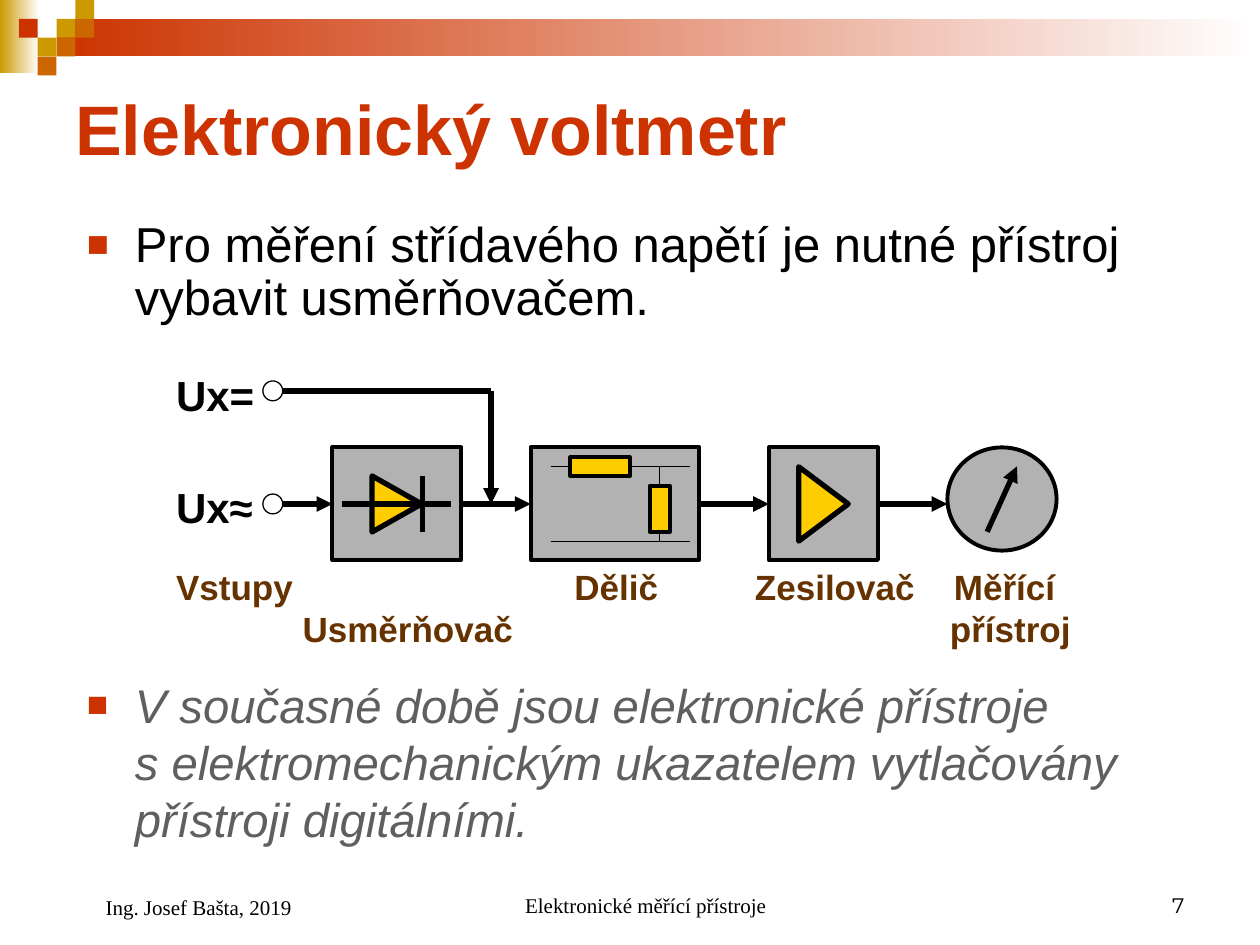
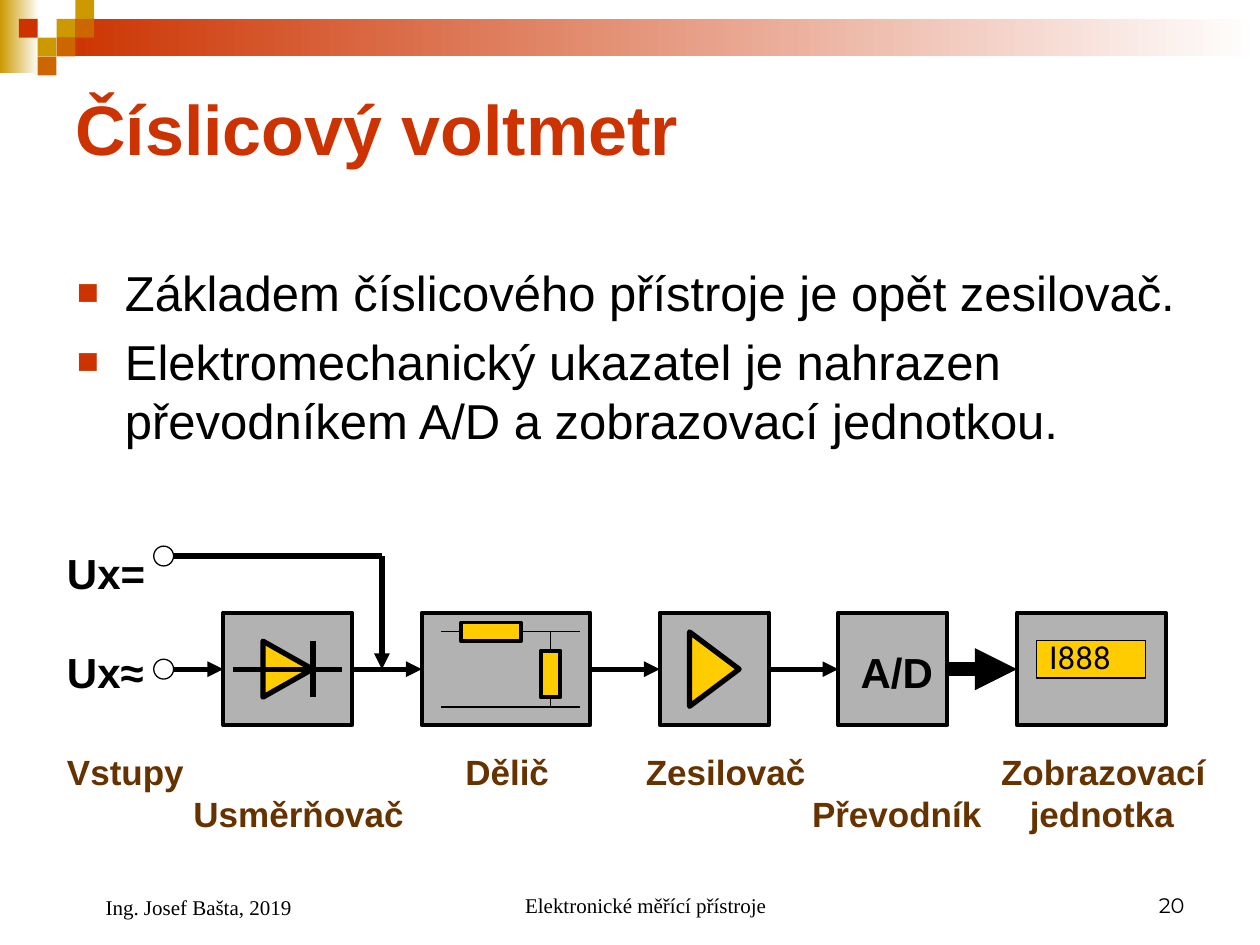
from dataclasses import dataclass

from lxml.etree import SubElement
from pptx import Presentation
from pptx.dml.color import RGBColor
from pptx.enum.shapes import MSO_CONNECTOR as Connector, MSO_SHAPE as Shape
from pptx.enum.text import MSO_ANCHOR as Anchor, PP_ALIGN as Align
from pptx.oxml.ns import qn
from pptx.util import Cm, Pt

AUTHOR = "Ing. Josef Bašta, 2019"
COURSE = "Elektronické měřící přístroje"

# Stages are (kind, width); captions are rows of (tab position, word).
SLIDES = [
    {
        "title": "Elektronický voltmetr",
        "number": "7",
        "bullets": [
            {"top": 4.32, "left": 1.5, "height": 2.6, "style": "body", "spacing": 0.9,
             "items": ["Pro měření střídavého napětí je nutné přístroj vybavit usměrňovačem."]},
            {"top": 13.51, "left": 1.5, "height": 3.94, "style": "remark", "spacing": None,
             "items": ["V současné době jsou elektronické přístroje\v"
                       "s elektromechanickým ukazatelem vytlačovány přístroji digitálními."]},
        ],
        "origin": (3.3, 10.16),
        "dc_label_top": -2.84,
        "stages": [("rectifier", 2.6), ("divider", 3.4), ("amplifier", 2.2), ("meter", 2.2)],
        "captions_top": 1.12,
        "captions": [
            [(0, "Vstupy"), (8.03, "Dělič"), (11.67, "Zesilovač"), (15.68, "Měřící")],
            [(2.55, "Usměrňovač"), (15.6, "přístroj")],
        ],
    },
    {
        "title": "Číslicový voltmetr",
        "number": "20",
        "bullets": [
            {"top": 5.16, "left": 1.3, "height": 4.57, "style": "body", "spacing": None,
             "items": ["Základem číslicového přístroje je opět zesilovač.",
                       "Elektromechanický ukazatel je nahrazen převodníkem A/D "
                       "a zobrazovací jednotkou."]},
        ],
        "origin": (1.1, 13.49),
        "dc_label_top": -2.57,
        "stages": [("rectifier", 2.6), ("divider", 3.4), ("amplifier", 2.2),
                   ("converter", 2.2), ("display", 3.0)],
        "captions_top": 1.52,
        "captions": [
            [(0, "Vstupy"), (8.03, "Dělič"), (11.67, "Zesilovač"), (18.83, "Zobrazovací")],
            [(2.55, "Usměrňovač"), (15.02, "Převodník"), (19.41, "jednotka")],
        ],
    },
]


@dataclass(frozen=True)
class Style:
    size: float
    color: str = "000000"
    font: str = "Arial"
    bold: bool = False
    italic: bool = False


@dataclass(frozen=True)
class Theme:
    red: str = "CC3300"
    gold: str = "CC9900"
    orange: str = "CC6600"
    white: str = "FFFFFF"
    black: str = "000000"
    block: str = "B2B2B2"
    symbol: str = "FFCC00"
    hair: float = 0.75
    outline: float = 2.25
    wire: float = 3
    bus: float = 8
    title: Style = Style(40, "CC3300", bold=True)
    body: Style = Style(28)
    remark: Style = Style(27, "5F5F5F", italic=True)
    label: Style = Style(24, bold=True)
    caption: Style = Style(20, "663300", bold=True)
    reading: Style = Style(18, font="Roboto")
    footer: Style = Style(12, font="Times New Roman")
    number: Style = Style(12, font="Montserrat")


THEME = Theme()
TILE = 0.38
TILES = [(2, 1, THEME.gold), (3, 0, THEME.gold), (3, 1, THEME.orange), (1, 2, THEME.gold),
         (0, 1, THEME.red), (2, 2, THEME.orange), (1, 3, THEME.orange)]

FIRST_STAGE, STAGE_GAP = 3.4, 1.4
STAGE_TOP, STAGE_HEIGHT = -1.14, 2.27
DC_AXIS = -2.28
TERMINAL_X, TERMINAL_SIZE = 2.2, 0.4
LABEL_TOP, LABEL_WIDTH, LABEL_HEIGHT = -0.58, 2.4, 1.27


def rgb(value):
    return RGBColor.from_string(value)


def add_text(page, area, paragraphs, style, anchor=Anchor.TOP, align=Align.LEFT):
    """Add a text box; area is left, top, width, height in cm."""
    box = page.shapes.add_textbox(*map(Cm, area))
    frame = box.text_frame
    frame.word_wrap = True
    frame.vertical_anchor = anchor
    frame.text = "\n".join(paragraphs)
    for para in frame.paragraphs:
        para.alignment = align
        for span in para.runs:
            font = span.font
            font.name, font.size = style.font, Pt(style.size)
            font.bold, font.italic = style.bold, style.italic
            font.color.rgb = rgb(style.color)
    return frame


def add_block(page, kind, area, fill=None, line=None):
    """Add a preset shape; without fill or line width that part is empty."""
    block = page.shapes.add_shape(kind, *map(Cm, area))
    block.shadow.inherit = False
    if fill:
        block.fill.solid()
        block.fill.fore_color.rgb = rgb(fill)
    else:
        block.fill.background()
    if line:
        block.line.color.rgb = rgb(THEME.black)
        block.line.width = Pt(line)
    else:
        block.line.fill.background()
    return block


def add_fading_band(page, area, color):
    band = add_block(page, Shape.RECTANGLE, area)
    band.fill.gradient()
    band.fill.gradient_angle = 0
    for stop, shade in zip(band.fill.gradient_stops, (color, THEME.white)):
        stop.color.rgb = rgb(shade)


def add_bullets(page, group):
    frame = add_text(page, (group["left"], group["top"], 22.86, group["height"]),
                     group["items"], getattr(THEME, group["style"]))
    for index, para in enumerate(frame.paragraphs):
        props = para._p.get_or_add_pPr()
        props.set("marL", str(Cm(0.97)))
        props.set("indent", str(-Cm(0.97)))
        color = SubElement(props, qn("a:buClr"))
        SubElement(color, qn("a:srgbClr"), val=THEME.red)
        SubElement(props, qn("a:buSzPct"), val="75000")
        SubElement(props, qn("a:buFont"), typeface="Arial")
        SubElement(props, qn("a:buChar"), char="■")
        if index:
            para.space_before = Pt(6)
        if group["spacing"]:
            para.line_spacing = group["spacing"]


def add_frame(page, title, number):
    """Add the top bands, the title and the footers."""
    add_fading_band(page, (0, 0, 0.79, 1.47), THEME.gold)
    add_fading_band(page, (1.14, TILE, 24.26, 2 * TILE), THEME.red)
    for column, row, color in TILES:
        add_block(page, Shape.RECTANGLE, ((column + 1) * TILE, row * TILE, TILE, TILE), color)
    add_text(page, (1.27, 1.27, 22.86, 2.62), [title], THEME.title, Anchor.MIDDLE)
    course = add_text(page, (8.69, 17.35, 8.05, 1.27), [COURSE], THEME.footer,
                      Anchor.BOTTOM, Align.CENTER)
    add_text(page, (18.21, 17.35, 5.92, 1.27), [number], THEME.number,
             Anchor.BOTTOM, Align.RIGHT)
    author = add_text(page, (1.27, 17.35, 5.92, 1.32), [AUTHOR], THEME.footer, Anchor.BOTTOM)
    for frame in (course, author):
        frame.paragraphs[0]._p.get_or_add_pPr().set("marL", str(Cm(0.61)))


class Diagram:
    """Block diagram measured in cm from the label edge and the signal axis."""

    def __init__(self, page, origin):
        self.page = page
        self.left, self.axis = origin

    def area(self, x, y, width, height):
        return self.left + x, self.axis + y, width, height

    def block(self, x, y, width, height, fill=None, line=THEME.outline, kind=Shape.RECTANGLE):
        return add_block(self.page, kind, self.area(x, y, width, height), fill, line)

    def text(self, x, y, width, height, paragraphs, style):
        return add_text(self.page, self.area(x, y, width, height), paragraphs, style)

    def line(self, x1, y1, x2, y2, width=THEME.wire, arrow=False):
        ends = self.left + x1, self.axis + y1, self.left + x2, self.axis + y2
        wire = self.page.shapes.add_connector(Connector.STRAIGHT, *map(Cm, ends))
        wire.line.color.rgb = rgb(THEME.black)
        wire.line.width = Pt(width)
        if arrow:
            SubElement(wire.line._get_or_add_ln(), qn("a:tailEnd"), type="triangle")
        SubElement(wire._element.spPr, qn("a:effectLst"))

    def triangle(self, center, base):
        """Draw a triangle pointing right, centred on the axis."""
        depth = 1.0
        shape = self.block(center - base / 2, -depth / 2, base, depth, THEME.symbol,
                           THEME.wire, Shape.ISOSCELES_TRIANGLE)
        shape.rotation = 90

    def rectifier(self, x, width):
        center = x + width / 2
        self.triangle(center, 1.13)
        self.line(center + 0.51, -0.57, center + 0.51, 0.57)
        self.line(center - 1.1, 0, center + 1.1, 0)

    def divider(self, x, width):
        start, end, tap, rail = x + 0.4, x + width - 0.2, x + 2.6, 0.76
        self.block(x + 0.8, -0.94, 1.2, 0.38, THEME.symbol)
        self.block(tap - 0.2, -0.37, 0.4, 0.94, THEME.symbol)
        for ends in [(start, -rail, x + 0.8, -rail), (x + 2, -rail, end, -rail),
                     (start, rail, end, rail), (tap, -rail, tap, -0.37),
                     (tap, 0.57, tap, rail)]:
            self.line(*ends, width=THEME.hair)

    def amplifier(self, x, width):
        self.triangle(x + width / 2, 1.5)

    def meter(self, x, width):
        self.line(x + 0.8, 0.56, x + 1.4, -0.76, arrow=True)

    def converter(self, x, width):
        self.text(x + 0.2, LABEL_TOP, LABEL_WIDTH, LABEL_HEIGHT, ["A/D"], THEME.label)

    def display(self, x, width):
        self.block(x + 0.4, -0.58, 2.2, 0.76, THEME.symbol, THEME.hair)
        self.text(x + 0.4, -0.76, LABEL_WIDTH, 1.02, ["I888"], THEME.reading)

    def inputs(self, dc_label_top):
        radius = TERMINAL_SIZE / 2
        for name, y, top in [("Ux=", DC_AXIS, dc_label_top), ("Ux≈", 0, LABEL_TOP)]:
            self.text(0, top, LABEL_WIDTH, LABEL_HEIGHT, [name], THEME.label)
            self.block(TERMINAL_X - radius, y - radius, TERMINAL_SIZE, TERMINAL_SIZE,
                       line=THEME.hair, kind=Shape.OVAL)

    def chain(self, stages):
        """Draw the stages from left to right with the arrows that join them."""
        previous = TERMINAL_X + TERMINAL_SIZE / 2
        x = FIRST_STAGE
        for kind, width in stages:
            if kind == "meter":
                self.block(x, STAGE_TOP, width, 2.08, THEME.block, kind=Shape.OVAL)
            else:
                self.block(x, STAGE_TOP, width, STAGE_HEIGHT, THEME.block)
            self.line(previous, 0, x, 0, THEME.bus if kind == "display" else THEME.wire, True)
            getattr(self, kind)(x, width)
            previous = x + width
            x = previous + STAGE_GAP
        junction = FIRST_STAGE + stages[0][1] + 0.6
        self.line(TERMINAL_X + TERMINAL_SIZE / 2, DC_AXIS, junction, DC_AXIS)
        self.line(junction, DC_AXIS, junction, 0, arrow=True)

    def captions(self, top, rows):
        """Set the caption rows in one box, each word at its own tab stop."""
        lines = ["".join(("\t" if stop else "") + word for stop, word in row) for row in rows]
        frame = self.text(0, top, 23.6, 1.96, lines, THEME.caption)
        for para, row in zip(frame.paragraphs, rows):
            tabs = SubElement(para._p.get_or_add_pPr(), qn("a:tabLst"))
            for stop, _ in row:
                if stop:
                    SubElement(tabs, qn("a:tab"), pos=str(Cm(stop)), algn="l")


def main():
    deck = Presentation()
    deck.slide_width, deck.slide_height = Cm(25.4), Cm(19.05)
    for content in SLIDES:
        page = deck.slides.add_slide(deck.slide_layouts[6])
        add_frame(page, content["title"], content["number"])
        for group in content["bullets"]:
            add_bullets(page, group)
        diagram = Diagram(page, content["origin"])
        diagram.captions(content["captions_top"], content["captions"])
        diagram.inputs(content["dc_label_top"])
        diagram.chain(content["stages"])
    deck.save("out.pptx")


if __name__ == "__main__":
    main()
